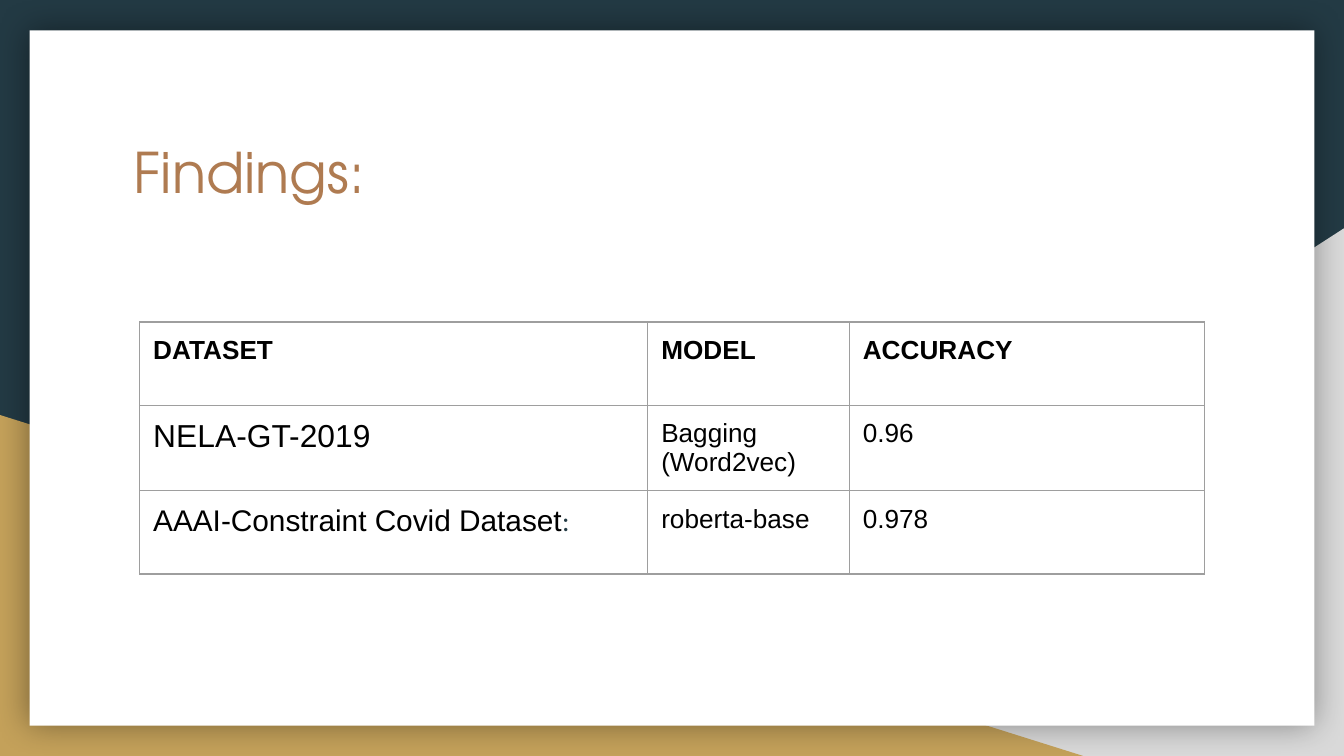
from lxml import etree
from pptx import Presentation
from pptx.dml.color import RGBColor
from pptx.enum.shapes import MSO_SHAPE as SHAPE
from pptx.enum.text import MSO_ANCHOR as ANCHOR, MSO_AUTO_SIZE as AUTO, PP_ALIGN as ALIGN
from pptx.oxml import parse_xml
from pptx.oxml.ns import qn
from pptx.util import Inches, Pt

NS = 'xmlns:a="http://schemas.openxmlformats.org/drawingml/2006/main"'
NAVY, GREY, GOLD, WHITE, BROWN, BLACK, RULE = (
    "233A44", "D9D9D9", "C4A15A", "FFFFFF", "AF7B51", "000000", "9E9E9E")


def color(target, value):
    if hasattr(target, "solid"):
        target.solid()
        target = target.fore_color
    target.rgb = RGBColor.from_string(value)


def add_run(p, text, size, name="Arial", bold=False, ink=BLACK):
    r = p.add_run()
    r.text = text
    for key, value in {"size": Pt(size), "name": name, "bold": bold}.items():
        setattr(r.font, key, value)
    color(r.font.color, ink)


prs = Presentation()
W = Inches(10)
H = W * 9 // 16
prs.slide_width, prs.slide_height = W, H
col, row = W / 100, H / 100
s = prs.slides.add_slide(prs.slide_layouts[5])
color(s.background.fill, NAVY)

for kind, left, top, width, height, fill in [
    (SHAPE.RIGHT_TRIANGLE, 39.2, 30.2, 60.8, 69.8, GREY),
    (SHAPE.RIGHT_TRIANGLE, 0, 54.9, 80.6, 45.1, GOLD),
    (SHAPE.RECTANGLE, 2.2, 4, 95.6, 92, WHITE),
]:
    sp = s.shapes.add_shape(kind, int(col * left), int(row * top), int(col * width), int(row * height))
    sp.shadow.inherit = False
    color(sp.fill, fill)
    sp.line.fill.background()
    if fill == GREY:
        sp.element.spPr.get_or_add_xfrm().set("flipH", "1")

effects = sp.element.spPr.find(qn("a:effectLst"))
shadow = etree.SubElement(effects, qn("a:outerShdw"), blurRad=str(Pt(18)), dist="0", rotWithShape="0")
ink = etree.SubElement(shadow, qn("a:srgbClr"), val=BLACK)
etree.SubElement(ink, qn("a:alpha"), val="40000")

title = s.shapes.title
title.element.getparent().append(title.element)
for key, value in {"left": col * 8.95, "top": row * 16.4, "width": col * 82.1, "height": row * 18.5}.items():
    setattr(title, key, int(value))
tf = title.text_frame
pad = Inches(0.1)
margins = {"margin_" + side: pad for side in ("left", "top", "right", "bottom")}
frame = {"word_wrap": True, "auto_size": AUTO.NONE, "vertical_anchor": ANCHOR.TOP}
for key, value in {**margins, **frame}.items():
    setattr(tf, key, value)
p = tf.paragraphs[0]
p.alignment = ALIGN.LEFT
add_run(p, "Findings:", 30, "TeX Gyre Adventor", ink=BROWN)

findings = [
    ["DATASET", "MODEL", "ACCURACY"],
    ["NELA-GT-2019", "Bagging\n(Word2vec)", "0.96"],
    ["AAAI-Constraint Covid Dataset", "roberta-base", "0.978"],
]
dataset_sizes = [14, 17, 16]
col_widths = [int(col * w) for w in (37.8, 15, 26.4)]
row_height = int(row * 11)
table = s.shapes.add_table(len(findings), len(col_widths), int(col * 10.4), int(row * 42.6),
                           sum(col_widths), row_height * len(findings)).table
table.first_row = table.horz_banding = False
for column, width in zip(table.columns, col_widths):
    column.width = width
for i, values in enumerate(findings):
    table.rows[i].height = row_height
    for j, text in enumerate(values):
        cell = table.cell(i, j)
        for key, value in margins.items():
            setattr(cell, key, value)
        tc_pr = cell._tc.get_or_add_tcPr()
        for side in "LRTB":
            tc_pr.append(parse_xml(
                f'<a:ln{side} {NS} w="{Pt(0.75)}"><a:solidFill><a:srgbClr val="{RULE}"/>'
                f'</a:solidFill></a:ln{side}>'))
        cell.fill.background()
        tf = cell.text_frame
        for n, line in enumerate(text.split("\n")):
            p = tf.add_paragraph() if n else tf.paragraphs[0]
            add_run(p, line, 14 if j else dataset_sizes[i], bold=i == 0)
add_run(table.cell(2, 0).text_frame.paragraphs[0], ":", 15, "Calibri", ink=NAVY)

prs.save("out.pptx")
